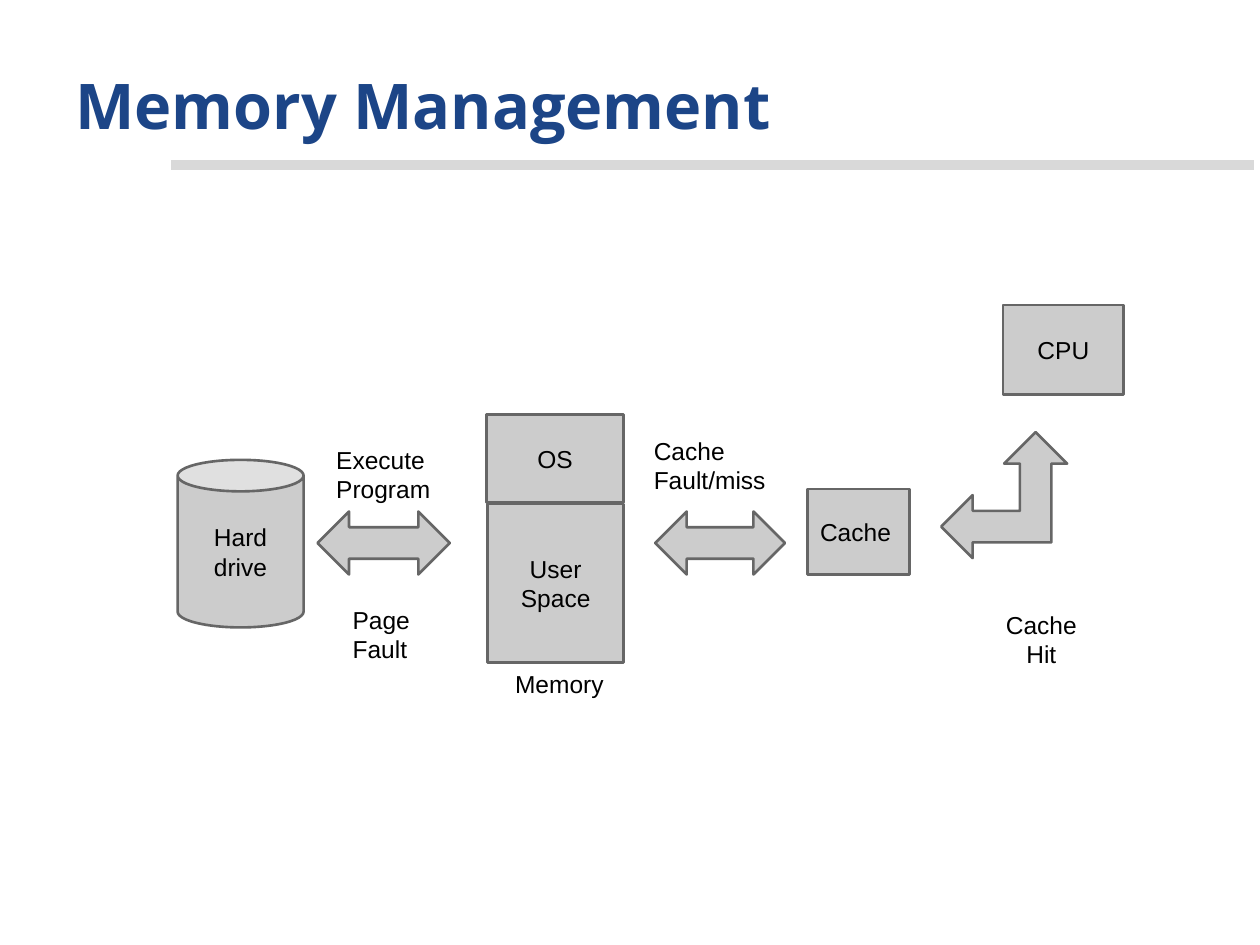
from dataclasses import dataclass
from typing import Optional

from pptx import Presentation
from pptx import util as u
from pptx.dml.color import RGBColor
from pptx.enum import shapes, text
from pptx.oxml.ns import qn
from lxml import etree

COLORS = {"title": "1C4587", "rule": "D9D9D9", "fill": "CCCCCC",
          "line": "666666", "text": "000000"}
KIND = shapes.MSO_SHAPE
LEFT, CENTER = text.PP_ALIGN.LEFT, text.PP_ALIGN.CENTER
TOP, MIDDLE, BOTTOM = (text.MSO_ANCHOR.TOP, text.MSO_ANCHOR.MIDDLE,
                       text.MSO_ANCHOR.BOTTOM)


@dataclass
class Item:
    """A diagram part; without a kind it is a plain label."""
    box: tuple[float, float, float, float]
    lines: tuple[str, ...] = ()
    kind: Optional[KIND] = None
    align: text.PP_ALIGN = CENTER


ITEMS = [
    Item((1.41, 3.65, 1, 1.33), ("Hard", "drive"), KIND.CAN),
    Item((3.87, 4, 1.08, 1.26), ("User Space",), KIND.RECTANGLE),
    Item((3.86, 3.29, 1.09, 0.7), ("OS",), KIND.RECTANGLE),
    Item((3.87, 5.21, 1.14, 0.39), ("Memory",)),
    Item((6.41, 3.88, 0.81, 0.68), ("Cache",), KIND.RECTANGLE, LEFT),
    Item((7.96, 2.42, 0.96, 0.71), ("CPU",), KIND.RECTANGLE),
    Item((2.52, 4.06, 1.05, 0.5), kind=KIND.LEFT_RIGHT_ARROW),
    Item((5.2, 4.06, 1.03, 0.5), kind=KIND.LEFT_RIGHT_ARROW),
    Item((7.47, 3.43, 1, 1), kind=KIND.LEFT_UP_ARROW),
    Item((2.7, 4.7, 0.92, 0.43), ("Page Fault",), align=LEFT),
    Item((2.57, 3.43, 1.16, 0.5), ("Execute Program",), align=LEFT),
    Item((5.09, 3.36, 1.25, 0.56), ("Cache Fault/miss",), align=LEFT),
    Item((7.81, 4.74, 0.91, 0.43), ("Cache Hit",)),
]


def rgb(name: str) -> RGBColor:
    """Look up a named colour."""
    return RGBColor.from_string(COLORS[name])


def write(sp, lines: tuple[str, ...], align: text.PP_ALIGN,
          anchor: text.MSO_ANCHOR, size: int = 14, font: str = "Arial",
          color: str = "text", bold: bool = False) -> None:
    """Fill a shape with one paragraph per line."""
    tf = sp.text_frame
    tf.word_wrap = True
    tf.vertical_anchor = anchor
    tf.margin_left = tf.margin_right = u.Inches(0.1)
    tf.margin_top = tf.margin_bottom = u.Inches(0.1)
    for i, line in enumerate(lines):
        p = tf.paragraphs[0] if i == 0 else tf.add_paragraph()
        p.alignment = align
        r = p.add_run()
        r.text = line
        r.font.size = u.Pt(size)
        r.font.name = font
        r.font.bold = bold
        r.font.color.rgb = rgb(color)


def draw_item(s, item: Item) -> None:
    """Draw one shape or label of the diagram."""
    box = [u.Inches(v) for v in item.box]
    if item.kind is None:
        sp = s.shapes.add_textbox(*box)
    else:
        sp = s.shapes.add_shape(item.kind, *box)
        sp.shadow.inherit = False
        sp.fill.solid()
        sp.fill.fore_color.rgb = rgb("fill")
        sp.line.color.rgb = rgb("line")
        sp.line.width = u.Pt(1.5)
    if item.lines:
        write(sp, item.lines, item.align, MIDDLE if item.kind else TOP)


def draw_heading(s) -> None:
    """Draw the rule and the title above it."""
    y = u.Inches(1.31)
    rule = s.shapes.add_connector(shapes.MSO_CONNECTOR.STRAIGHT,
                                  u.Inches(1.36), y, u.Inches(9.95), y)
    rule.line.color.rgb = rgb("rule")
    rule.line.width = u.Pt(6)
    etree.SubElement(rule._element.spPr, qn("a:effectLst"))
    title = s.shapes.add_textbox(u.Inches(0.5), u.Inches(0.3),
                                 u.Inches(9), u.Inches(0.93))
    write(title, ("Memory Management",), LEFT, BOTTOM, 36, "Open Sans",
          "title", True)


def main() -> None:
    """Build and save the slide."""
    prs = Presentation()
    prs.slide_width, prs.slide_height = u.Inches(10), u.Inches(7.5)
    s = prs.slides.add_slide(prs.slide_layouts[6])
    draw_heading(s)
    for item in ITEMS:
        draw_item(s, item)
    prs.save("out.pptx")


if __name__ == "__main__":
    main()
